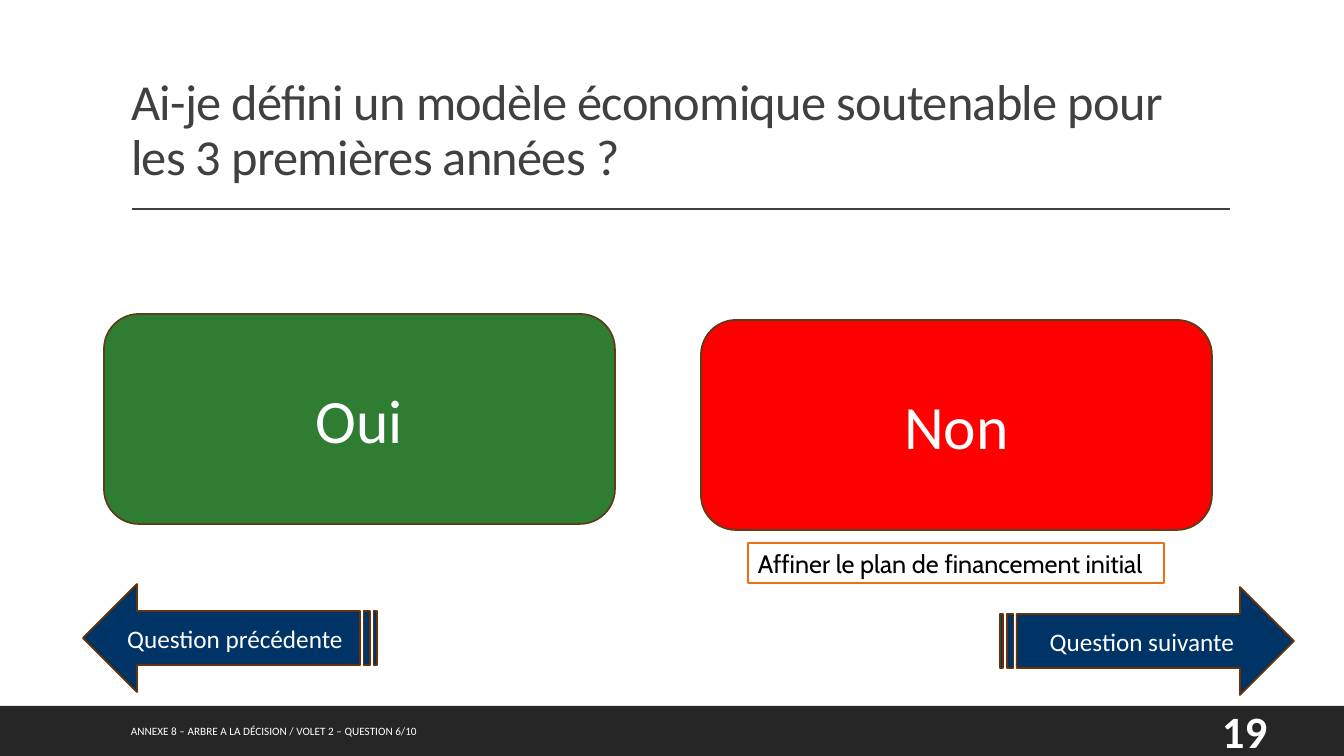
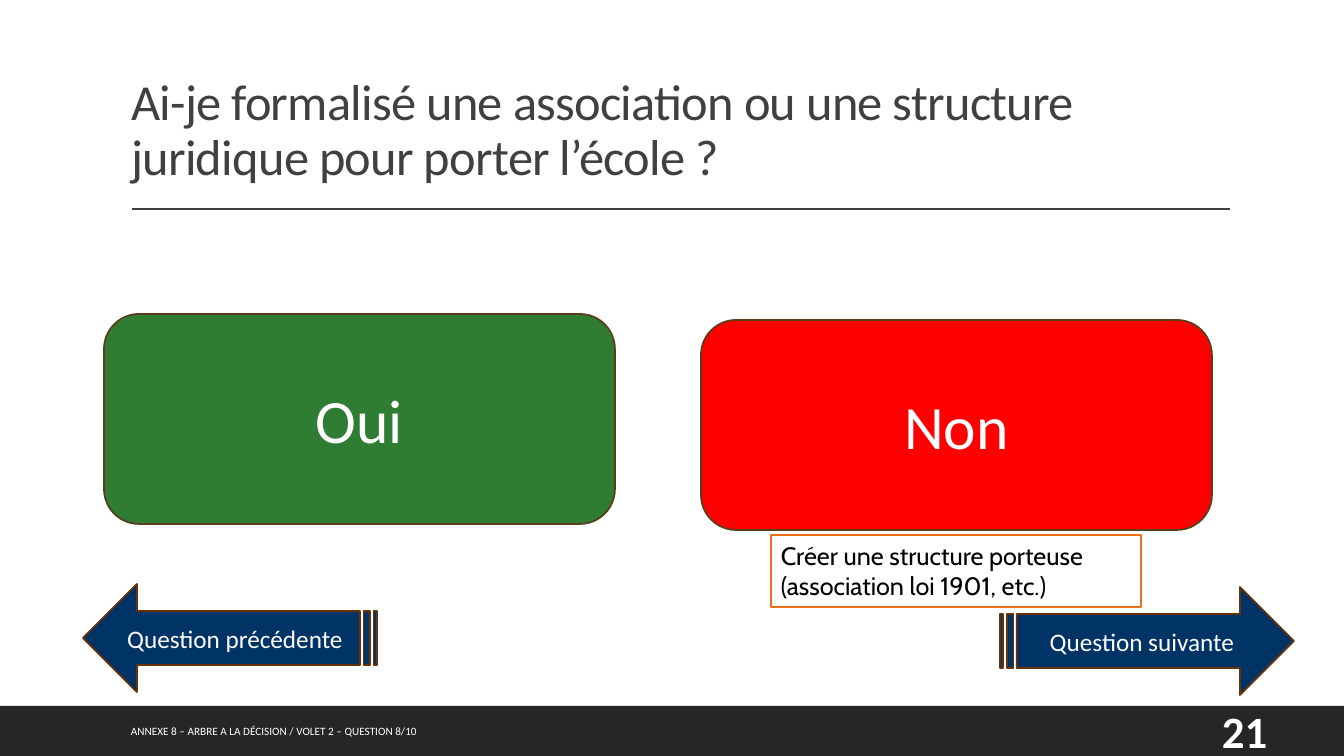
"""Build two yes/no decision slides that share a title style, a footer band and navigation arrows."""
from lxml import etree
from pptx import Presentation
from pptx.dml.color import RGBColor
from pptx.enum.shapes import MSO_CONNECTOR, MSO_SHAPE
from pptx.enum.text import MSO_ANCHOR, MSO_AUTO_SIZE, PP_ALIGN
from pptx.oxml.ns import qn
from pptx.util import Pt

RECTANGLE, ROUNDED = MSO_SHAPE.RECTANGLE, MSO_SHAPE.ROUNDED_RECTANGLE
ARROW = MSO_SHAPE.STRIPED_RIGHT_ARROW
STRAIGHT = MSO_CONNECTOR.STRAIGHT
TOP, MIDDLE, BOTTOM = MSO_ANCHOR.TOP, MSO_ANCHOR.MIDDLE, MSO_ANCHOR.BOTTOM
LEFT, CENTER, JUSTIFY = PP_ALIGN.LEFT, PP_ALIGN.CENTER, PP_ALIGN.JUSTIFY
NO_FIT, GROW = MSO_AUTO_SIZE.NONE, MSO_AUTO_SIZE.SHAPE_TO_FIT_TEXT

WIDTH, HEIGHT = 1344, 756
SCALE = 12192000 / WIDTH
COLORS = {name: RGBColor.from_string(value) for name, value in {
    "white": "FFFFFF", "black": "000000", "band": "262626", "title": "404040",
    "yes": "2E7D32", "no": "FF0000", "answer line": "5A3E1B",
    "arrow": "003366", "arrow line": "67310A", "advice line": "EC7016",
}.items()}

QUESTIONS = [
    {"title": "Ai-je défini un modèle économique soutenable pour les 3 premières années ?",
     "advice": "Affiner le plan de financement initial",
     "advice box": (748, 543, 416, 40), "wrap": False,
     "footer": "ANNEXE 8 – ARBRE A LA DÉCISION / VOLET 2 – QUESTION 6/10", "page": "19"},
    {"title": "Ai-je formalisé une association ou une structure juridique pour porter l’école ?",
     "advice": "Créer une structure porteuse (association loi 1901, etc.)",
     "advice box": (771, 535, 370, 72), "wrap": True,
     "footer": "ANNEXE 8 – ARBRE A LA DÉCISION / VOLET 2 – QUESTION 8/10", "page": "21"},
]
BUTTONS = [
    ("Oui", ROUNDED, (104, 314, 511, 210), "yes", "answer line", 44, False),
    ("Non", ROUNDED, (701, 320, 511, 210), "no", "answer line", 44, False),
    ("Question suivante", ARROW, (1000, 587, 294, 108), "arrow", "arrow line", 18, False),
    ("Question précédente", ARROW, (83, 584, 294, 108), "arrow", "arrow line", 18, True),
]


def emu(*lengths):
    return [round(length * SCALE) for length in lengths]


def write(frame, text, size, color="white", font="Calibri", align=LEFT, anchor=MIDDLE, bold=False):
    frame.word_wrap = True
    frame.auto_size = NO_FIT
    frame.vertical_anchor = anchor
    paragraph = frame.paragraphs[0]
    paragraph.alignment = align
    run = paragraph.add_run()
    run.text = text
    run.font.size = Pt(size)
    run.font.name = font
    run.font.bold = bold
    run.font.color.rgb = COLORS[color]
    return paragraph


deck = Presentation()
deck.slide_width, deck.slide_height = emu(WIDTH, HEIGHT)
layout = deck.slide_layouts[5]
for placeholder in list(layout.placeholders):
    if placeholder.placeholder_format.idx:
        placeholder.element.getparent().remove(placeholder.element)
heading = layout.placeholders[0]
heading.left, heading.top, heading.width, heading.height = emu(121, 31, 1109, 160)

slides = [deck.slides.add_slide(layout) for _ in QUESTIONS]

band = slides[0].shapes.add_shape(RECTANGLE, *emu(0, 706, WIDTH, 50))
band.shadow.inherit = False
band.fill.solid()
band.fill.fore_color.rgb = COLORS["band"]
band.line.fill.background()
rule = slides[0].shapes.add_connector(STRAIGHT, *emu(132, 209, 1230, 209))
rule.line.color.rgb = COLORS["title"]
rule.line.width = Pt(1)
etree.SubElement(rule.element.spPr, qn("a:effectLst"))
for shared in (rule, band):
    layout.element.cSld.spTree.insert(2, shared.element)

for slide, question in zip(slides, QUESTIONS):
    title = write(slide.shapes.title.text_frame, question["title"], 36, "title", anchor=BOTTOM)
    title.line_spacing = 0.9
    title.runs[0].font._element.set("spc", "-50")

    advice = slide.shapes.add_textbox(*emu(*question["advice box"]))
    advice.fill.solid()
    advice.fill.fore_color.rgb = COLORS["white"]
    advice.line.color.rgb = COLORS["advice line"]
    advice.line.width = Pt(1.25)
    write(advice.text_frame, question["advice"], 18, "black", "Cabin", anchor=TOP)
    advice.text_frame.word_wrap = question["wrap"]
    advice.text_frame.auto_size = GROW

    for label, outline, box, fill, line, size, flipped in BUTTONS:
        button = slide.shapes.add_shape(outline, *emu(*box))
        button.shadow.inherit = False
        button.fill.solid()
        button.fill.fore_color.rgb = COLORS[fill]
        button.line.color.rgb = COLORS[line]
        button.line.width = Pt(1.25)
        if flipped:
            button.element.spPr.xfrm.set("flipH", "1")
        write(button.text_frame, label, size, align=CENTER)

    footer = slide.shapes.add_textbox(*emu(121, 711, 752, 40))
    write(footer.text_frame, question["footer"], 8, align=JUSTIFY)
    page = slide.shapes.add_textbox(*emu(1212, 711, 86, 40))
    write(page.text_frame, question["page"], 32, bold=True)

deck.save("out.pptx")
